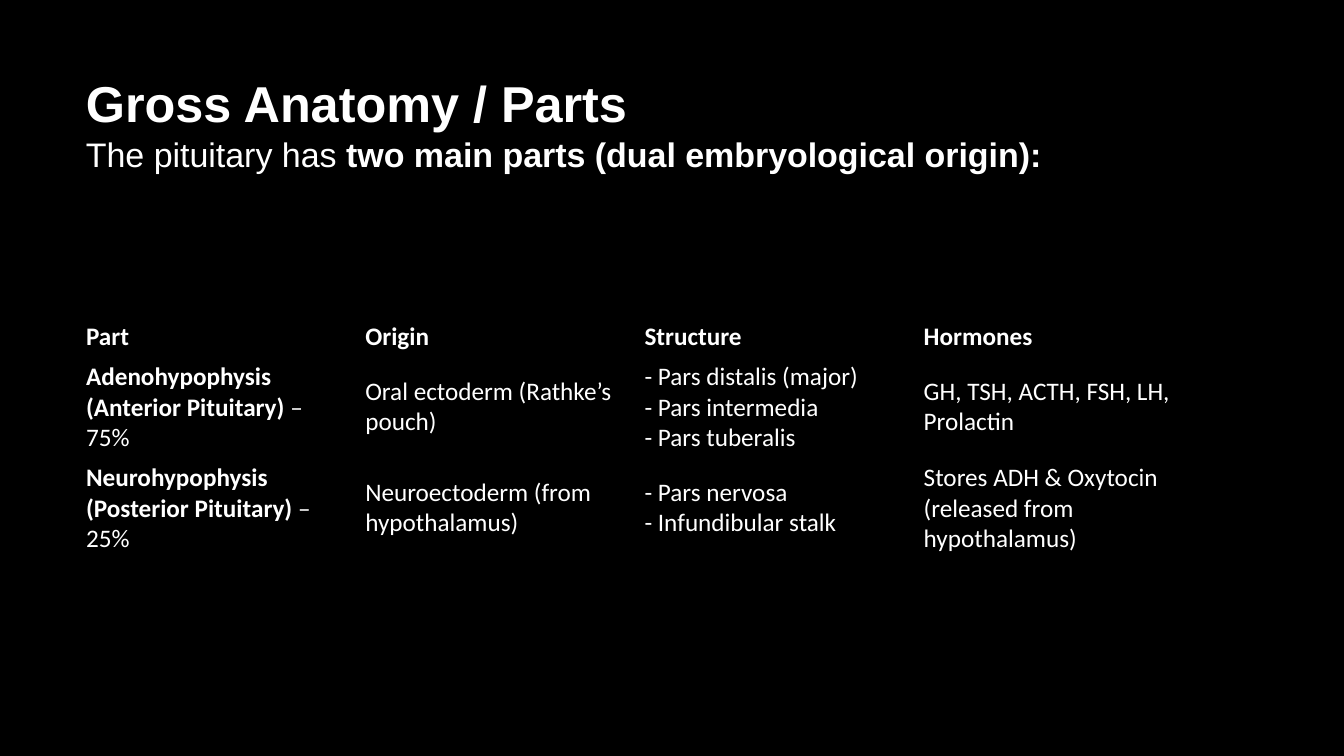
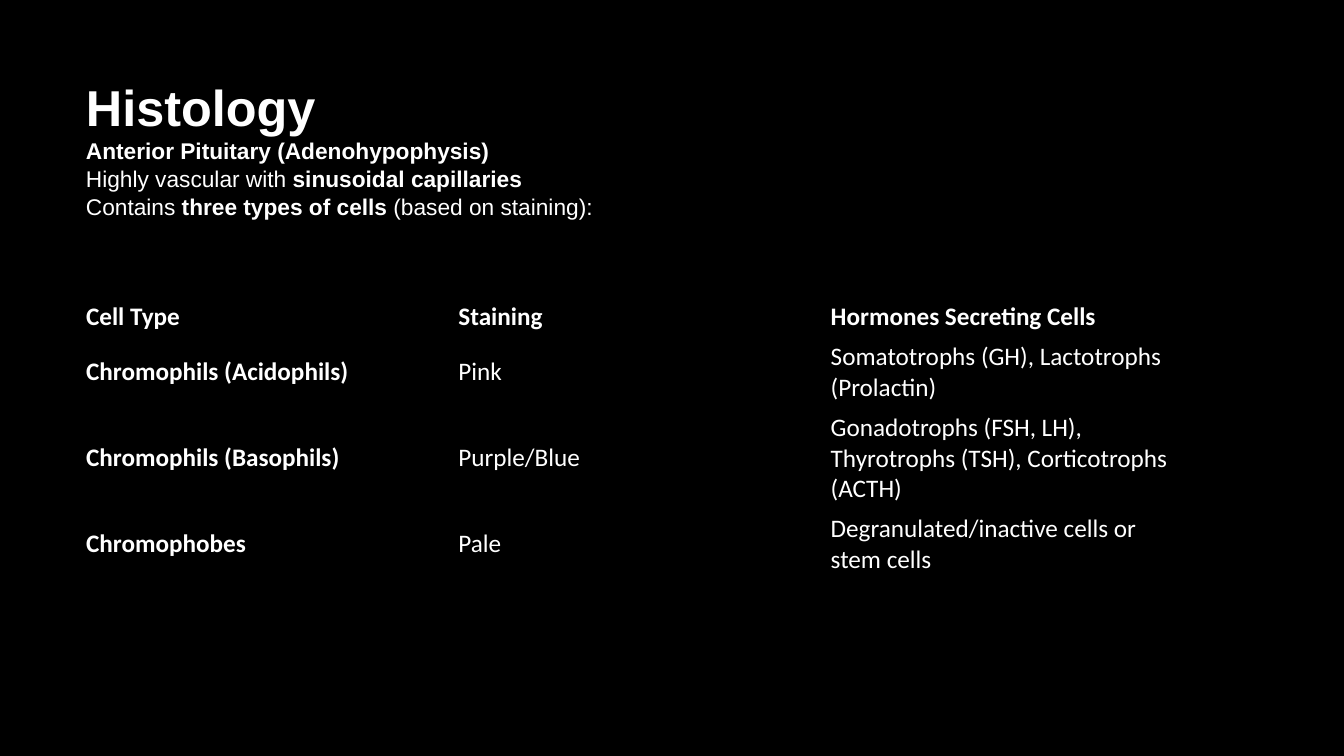
from dataclasses import dataclass

from pptx import Presentation
from pptx.dml.color import RGBColor
from pptx.enum.text import MSO_ANCHOR
from pptx.oxml.ns import qn
from pptx.util import Emu, Pt

MIDDLE = MSO_ANCHOR.MIDDLE
EMU_PER_PX = 12192000 / 1344
BLANK_LAYOUT = 6
PLAIN_TABLE_STYLE = "{2D5ABB26-0587-4C30-8999-92F81FD0307C}"


@dataclass(frozen=True)
class Theme:
    background: RGBColor = RGBColor(0x00, 0x00, 0x00)
    text: RGBColor = RGBColor(0xFF, 0xFF, 0xFF)
    title_font: str = "Arial"
    table_font: str = "Calibri"
    title_size: float = 36
    lead_size: float = 24.3
    detail_size: float = 16.2
    table_size: float = 18


THEME = Theme()
LEFT, WIDTH = 76, 1117
TITLE_TOP, TITLE_HEIGHT = 67, 160
INSET = 5

PARTS = [
    ["**Part**", "**Origin**", "**Structure**", "**Hormones**"],
    ["**Adenohypophysis (Anterior Pituitary)** – 75%",
     "Oral ectoderm (Rathke’s pouch)",
     "- Pars distalis (major)\n- Pars intermedia\n- Pars tuberalis",
     "GH, TSH, ACTH, FSH, LH, Prolactin"],
    ["**Neurohypophysis (Posterior Pituitary)** – 25%",
     "Neuroectoderm (from hypothalamus)",
     "- Pars nervosa\n- Infundibular stalk",
     "Stores ADH & Oxytocin (released from hypothalamus)"],
]
CELLS = [
    ["**Cell Type**", "**Staining**", "**Hormones Secreting Cells**"],
    ["**Chromophils (Acidophils)**", "Pink",
     "Somatotrophs (GH), Lactotrophs (Prolactin)"],
    ["**Chromophils (Basophils)**", "Purple/Blue",
     "Gonadotrophs (FSH, LH), Thyrotrophs (TSH), Corticotrophs (ACTH)"],
    ["**Chromophobes**", "Pale", "Degranulated/inactive cells or stem cells"],
]


def px(length):
    return Emu(round(length * EMU_PER_PX))


def write_para(para, text, *, size, font, line_spacing=1.0):
    """Write one paragraph; ** switches bold on and off."""
    para.line_spacing = line_spacing
    for index, part in enumerate(text.split("**")):
        if part:
            span = para.add_run()
            span.text = part
            span.font.name = font
            span.font.size = Pt(size)
            span.font.bold = index % 2 == 1
            span.font.color.rgb = THEME.text


def write_lines(frame, lines, **style):
    """Write (text, size) pairs as the paragraphs of a text frame."""
    for index, (text, size) in enumerate(lines):
        para = frame.add_paragraph() if index else frame.paragraphs[0]
        write_para(para, text, size=size, **style)


def add_page(deck):
    page = deck.slides.add_slide(deck.slide_layouts[BLANK_LAYOUT])
    fill = page.background.fill
    fill.solid()
    fill.fore_color.rgb = THEME.background
    return page


def add_title(page, title, details, *, detail_size, bottom_inset=INSET):
    box = page.shapes.add_textbox(px(LEFT), px(TITLE_TOP), px(WIDTH), px(TITLE_HEIGHT))
    frame = box.text_frame
    frame.word_wrap = True
    frame.vertical_anchor = MIDDLE
    frame.margin_top, frame.margin_bottom = px(INSET), px(bottom_inset)
    lines = [(f"**{title}**", THEME.title_size)]
    lines += [(detail, detail_size) for detail in details]
    write_lines(frame, lines, font=THEME.title_font, line_spacing=1.03)


def add_plain_table(page, rows, *, top, row_heights):
    """Add a table with equal columns and neither fill nor borders."""
    column_count = len(rows[0])
    table = page.shapes.add_table(
        len(rows), column_count, px(LEFT), px(top), px(WIDTH), px(sum(row_heights))
    ).table
    table.first_row = table.horz_banding = False
    table._tbl.tblPr.find(qn("a:tableStyleId")).text = PLAIN_TABLE_STYLE
    for column in table.columns:
        column.width = px(WIDTH / column_count)
    for row, height, texts in zip(table.rows, row_heights, rows):
        row.height = px(height)
        for cell, text in zip(row.cells, texts):
            cell.fill.background()
            cell.vertical_anchor = MIDDLE
            lines = [(line, THEME.table_size) for line in text.split("\n")]
            write_lines(cell.text_frame, lines, font=THEME.table_font)


def add_anatomy_page(deck):
    page = add_page(deck)
    add_title(
        page, "Gross Anatomy / Parts",
        ["The pituitary has **two main parts (dual embryological origin):**"],
        detail_size=THEME.lead_size, bottom_inset=55,
    )
    add_plain_table(page, PARTS, top=316, row_heights=[40, 101, 101])


def add_histology_page(deck):
    page = add_page(deck)
    add_title(
        page, "Histology",
        ["**Anterior Pituitary (Adenohypophysis)**",
         "Highly vascular with **sinusoidal capillaries**",
         "Contains **three types of cells** (based on staining):"],
        detail_size=THEME.detail_size,
    )
    add_plain_table(page, CELLS, top=296, row_heights=[40, 71, 101, 71])


def main():
    deck = Presentation()
    deck.slide_width, deck.slide_height = px(1344), px(756)
    add_anatomy_page(deck)
    add_histology_page(deck)
    deck.save("out.pptx")


if __name__ == "__main__":
    main()
